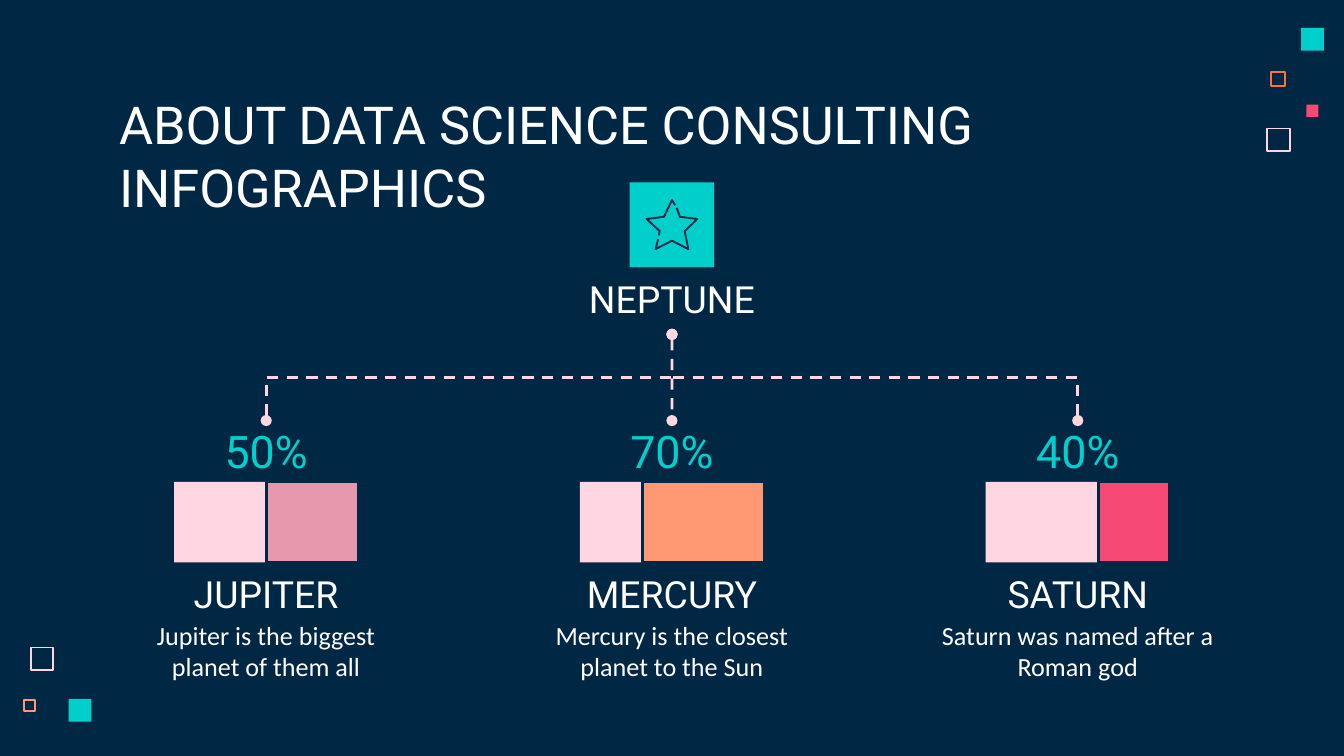
from dataclasses import dataclass

from pptx import Presentation
from pptx.dml.color import RGBColor
from pptx.enum.dml import MSO_LINE
from pptx.enum.shapes import MSO_CONNECTOR, MSO_SHAPE
from pptx.enum.text import MSO_ANCHOR, MSO_AUTO_SIZE, PP_ALIGN
from pptx.oxml.ns import qn
from pptx.util import Cm, Pt
from lxml import etree

RECT = MSO_SHAPE.RECTANGLE
ELBOW, STRAIGHT = MSO_CONNECTOR.ELBOW, MSO_CONNECTOR.STRAIGHT
TOP, MIDDLE, BOTTOM = MSO_ANCHOR.TOP, MSO_ANCHOR.MIDDLE, MSO_ANCHOR.BOTTOM
LEFT, CENTER = PP_ALIGN.LEFT, PP_ALIGN.CENTER


@dataclass(frozen=True)
class Theme:
    navy: str = "002845"
    white: str = "FFFFFF"
    teal: str = "00CFCC"
    blush: str = "FFD6E1"
    rose: str = "E898AC"
    peach: str = "FF9973"
    orange: str = "FC723F"
    red: str = "F64975"
    heading: str = "Roboto"
    body: str = "Calibri"
    title_size: int = 28
    percent_size: int = 24
    name_size: int = 20
    body_size: int = 14
    line: float = 1.5
    thin: float = 1


T = Theme()

# Offsets (cm) of the star's two strokes from the middle of its tile
STAR_STROKES = [
    [(0.09, -0.32), (0.15, -0.15), (0.48, -0.11), (0.24, 0.12),
     (0.31, 0.46), (0, 0.3), (-0.31, 0.46), (-0.26, 0.27)],
    [(-0.25, 0.2), (-0.23, 0.12), (-0.48, -0.11), (-0.15, -0.15),
     (0, -0.47), (0.06, -0.37)],
]

# Squares: x, y, side (cm), colour, solid
TOP_SQUARES = [(0, 1.88, 0.46, T.blush, False), (0.07, 0.82, 0.3, T.orange, False),
               (0.66, 0, 0.43, T.teal, True), (0.76, 1.45, 0.23, T.red, True)]
BOTTOM_SQUARES = [(0, 0.99, 0.25, T.peach, False), (0.13, 0, 0.46, T.blush, False),
                  (0.87, 0.99, 0.43, T.teal, True)]

# Planets: percentage, name, description, coloured share of the bar, colour
PLANETS = [
    ("50%", "JUPITER", "Jupiter is the biggest planet of them all", 0.5, T.rose),
    ("70%", "MERCURY", "Mercury is the closest planet to the Sun", 0.66, T.peach),
    ("40%", "SATURN", "Saturn was named after a Roman god", 0.39, T.red),
]

MID_X, COLUMN_GAP, COLUMN_W = 12.7, 7.67, 5.66
TREE_TOP, TREE_BOTTOM = 6.32, 7.95


def rgb(color):
    return RGBColor.from_string(color)


def add_rect(s, x, y, w, h, fill=None, line=None, weight=T.line):
    sp = s.shapes.add_shape(RECT, Cm(x), Cm(y), Cm(w), Cm(h))
    sp.shadow.inherit = False
    if fill:
        sp.fill.solid()
        sp.fill.fore_color.rgb = rgb(fill)
    else:
        sp.fill.background()
    if line:
        sp.line.color.rgb = rgb(line)
        sp.line.width = Pt(weight)
    else:
        sp.line.fill.background()
    return sp


def write(sp, text, size, color=T.white, font=T.heading, align=CENTER, anchor=TOP):
    tf = sp.text_frame
    tf.word_wrap = True
    tf.auto_size = MSO_AUTO_SIZE.NONE
    tf.vertical_anchor = anchor
    tf.margin_left = tf.margin_right = tf.margin_top = tf.margin_bottom = Cm(0.25)
    p = tf.paragraphs[0]
    p.text = text
    p.alignment = align
    p.font.name = font
    p.font.size = Pt(size)
    p.font.color.rgb = rgb(color)


def add_text(s, x, y, w, h, text, size, **style):
    sp = s.shapes.add_textbox(Cm(x), Cm(y), Cm(w), Cm(h))
    write(sp, text, size, **style)
    return sp


def place_title(s, x, y, w, h):
    sp = s.shapes.title
    sp.left, sp.top, sp.width, sp.height = Cm(x), Cm(y), Cm(w), Cm(h)
    write(sp, "ABOUT DATA SCIENCE CONSULTING INFOGRAPHICS", T.title_size, align=LEFT)


def add_squares(s, x, y, squares):
    edge = T.thin / 72 * 2.54
    for dx, dy, side, color, solid in squares:
        if solid:
            add_rect(s, x + dx, y + dy, side, side, fill=color)
        else:
            add_rect(s, x + dx + edge / 2, y + dy + edge / 2, side - edge, side - edge,
                     line=color, weight=T.thin)


def add_root(s, x, y, w, tile):
    """Star tile with its name below; returns the name box."""
    mid = x + w / 2
    add_rect(s, mid - tile / 2, y, tile, tile, fill=T.teal)
    for stroke in STAR_STROKES:
        points = [(Cm(mid + dx), Cm(y + tile / 2 + dy)) for dx, dy in stroke]
        builder = s.shapes.build_freeform(*points[0])
        builder.add_line_segments(points[1:], close=False)
        sp = builder.convert_to_shape()
        sp.shadow.inherit = False
        sp.fill.background()
        sp.line.color.rgb = rgb(T.navy)
        sp.line.width = Pt(T.thin)
    return add_text(s, x, y + tile, w, 1.27, "NEPTUNE", T.name_size, anchor=BOTTOM)


def add_planet(s, x, y, w, planet):
    """Percentage, bar, name and description; returns the percentage box."""
    percent, name, description, share, color = planet
    mid, bar_w, bar_h = x + w / 2, 3.48, 1.52
    bar_y = y + 1.16
    add_rect(s, mid - bar_w / 2, bar_y, bar_w, bar_h, fill=T.blush)
    add_rect(s, mid + bar_w / 2 - bar_w * share, bar_y, bar_w * share, bar_h,
             fill=color, line=T.navy)
    add_text(s, x, y + 2.67, w, 1.27, name, T.name_size, anchor=BOTTOM)
    add_text(s, x, y + 3.51, w, 1.35, description, T.body_size, font=T.body)
    return add_text(s, mid - 1.14, y, 2.28, 1.14, percent, T.percent_size,
                    color=T.teal, anchor=MIDDLE)


def style_branch(c):
    c.line.color.rgb = rgb(T.blush)
    c.line.width = Pt(T.line)
    c.line.dash_style = MSO_LINE.DASH
    spPr = c._element.spPr
    for end in ("a:headEnd", "a:tailEnd"):
        etree.SubElement(spPr.find(qn("a:ln")), qn(end), type="oval")
    etree.SubElement(spPr, qn("a:effectLst"))


def add_elbow(s, x, y, end_x, end_y):
    """Elbow that leaves downwards: a sideways elbow turned by a quarter."""
    mid_x, mid_y = (x + end_x) / 2, (y + end_y) / 2
    half_w, half_h = (end_y - y) / 2, abs(end_x - x) / 2
    side = 1 if end_x < x else -1
    c = s.shapes.add_connector(ELBOW, Cm(mid_x - side * half_w), Cm(mid_y - half_h),
                               Cm(mid_x + side * half_w), Cm(mid_y + half_h))
    c._element.spPr.find(qn("a:xfrm")).set("rot", str((90 if side > 0 else 270) * 60000))
    style_branch(c)


def add_tree(s):
    root = add_root(s, MID_X - 2.63, 3.45, 5.26, 1.6)
    for i, planet in enumerate(PLANETS):
        x = MID_X + (i - 1) * COLUMN_GAP
        box = add_planet(s, x - COLUMN_W / 2, TREE_BOTTOM, COLUMN_W, planet)
        if x == MID_X:
            c = s.shapes.add_connector(STRAIGHT, Cm(x), Cm(TREE_TOP), Cm(x), Cm(TREE_BOTTOM))
            c.begin_connect(root, 2)
            c.end_connect(box, 0)
            style_branch(c)
        else:
            add_elbow(s, MID_X, TREE_TOP, x, TREE_BOTTOM)


def main():
    prs = Presentation()
    prs.slide_width, prs.slide_height = Cm(25.4), Cm(14.29)
    s = prs.slides.add_slide(prs.slide_layouts[5])
    s.background.fill.solid()
    s.background.fill.fore_color.rgb = rgb(T.navy)
    add_squares(s, 23.93, 0.53, TOP_SQUARES)
    add_squares(s, 0.43, 12.22, BOTTOM_SQUARES)
    place_title(s, 2, 1.5, 21.4, 1.6)
    add_tree(s)
    prs.save("out.pptx")


if __name__ == "__main__":
    main()
